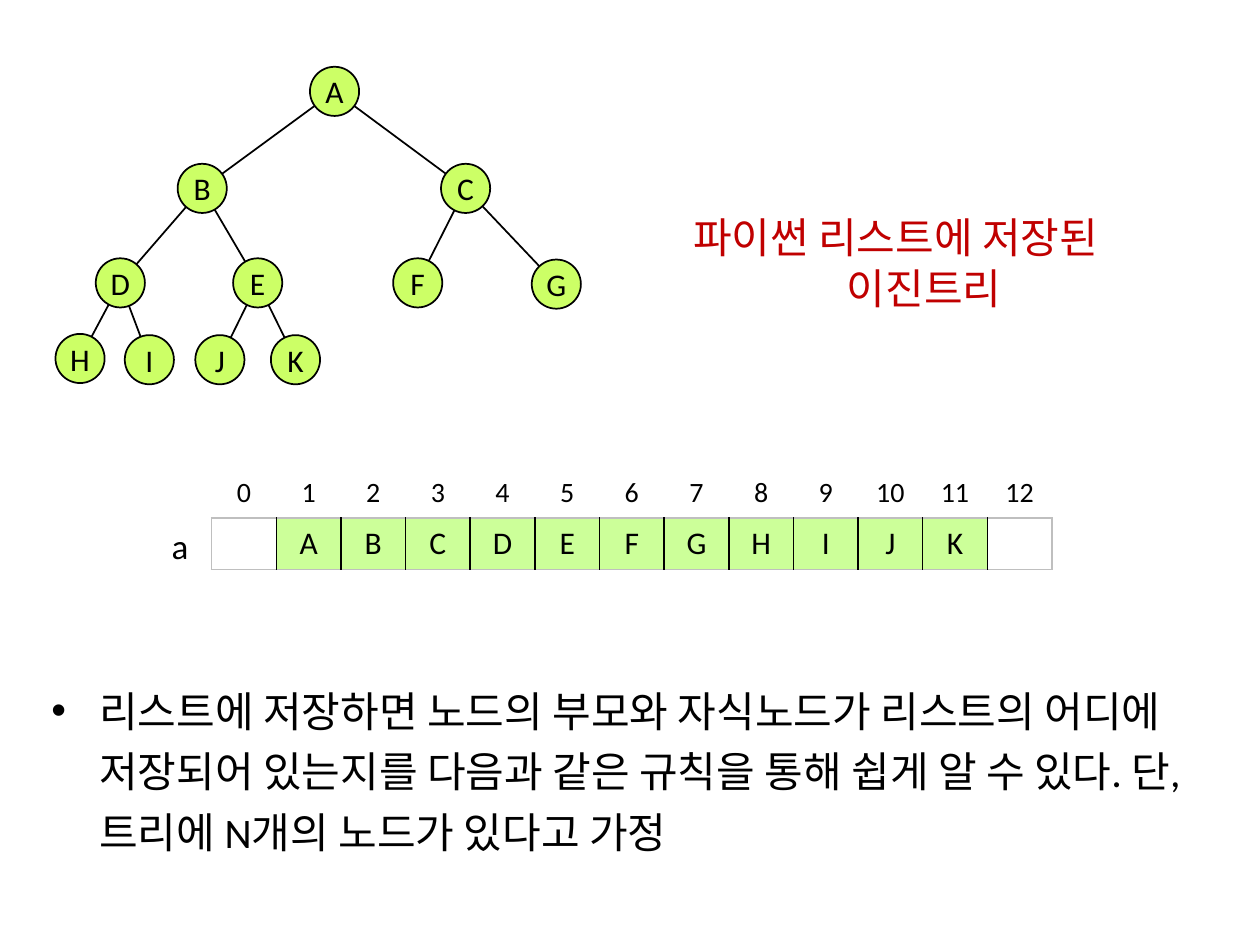
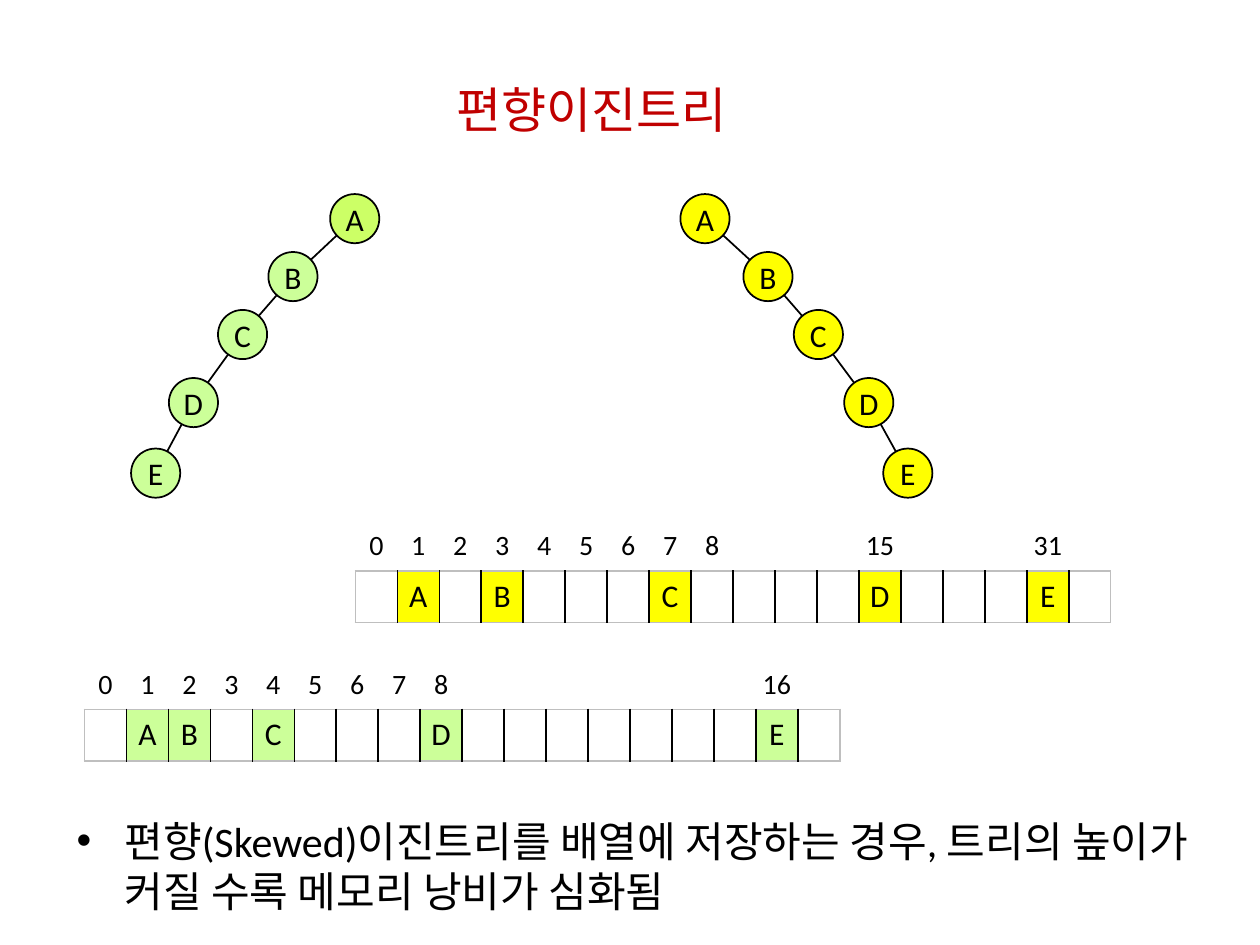
from lxml import etree
from pptx import Presentation
from pptx import util as u
from pptx.dml.color import RGBColor
from pptx.enum import shapes, text
from pptx.oxml import ns

COLORS = {
    "ink": "000000",
    "title": "C00000",
    "lime": "CCFF66",
    "mint": "CCFF99",
    "yellow": "FFFF00",
    "frame": "BFBFBF",
}
FONT = "Calibri"
NODE_SIZE = 0.39
ROW_HEIGHT = 0.41
PLAIN_TABLE = "{2D5ABB26-0587-4C30-8999-92F81FD0307C}"


def color(name):
    return RGBColor.from_string(COLORS[name])


class Deck:
    def __init__(self):
        self.presentation = Presentation()
        self.presentation.slide_width = u.Inches(10)
        self.presentation.slide_height = u.Inches(7.5)
        self.slide = None

    def place(self, shape, left, top, width, height):
        shape.left, shape.top = u.Inches(left), u.Inches(top)
        shape.width, shape.height = u.Inches(width), u.Inches(height)

    def styled_run(self, paragraph, words, size, ink="ink", align=text.PP_ALIGN.CENTER):
        paragraph.alignment = align
        run = paragraph.add_run()
        run.text = words
        run.font.name = FONT
        run.font.size = u.Pt(size)
        run.font.color.rgb = color(ink)

    def clear_margins(self, holder):
        holder.margin_left = holder.margin_right = 0
        holder.margin_top = holder.margin_bottom = 0

    def new_slide(self, lines, size, left, top, width, height):
        layout = self.presentation.slide_layouts[5]
        self.slide = self.presentation.slides.add_slide(layout)
        title = self.slide.shapes.title
        self.place(title, left, top, width, height)
        frame = title.text_frame
        frame.word_wrap = False
        frame.auto_size = text.MSO_AUTO_SIZE.SHAPE_TO_FIT_TEXT
        frame.vertical_anchor = text.MSO_ANCHOR.TOP
        for number, line in enumerate(lines):
            paragraph = frame.add_paragraph() if number else frame.paragraphs[0]
            align = text.PP_ALIGN.CENTER if number else text.PP_ALIGN.LEFT
            self.styled_run(paragraph, line, size, "title", align)

    def text_box(self, left, top, width, height):
        box = self.slide.shapes.add_textbox(*map(u.Inches, (left, top, width, height)))
        box.text_frame.word_wrap = True
        return box.text_frame.paragraphs[0]

    def label(self, words, size, left, top, width, height):
        self.styled_run(self.text_box(left, top, width, height), words, size)

    def bullet(self, words, left, top, width, height, spacing=1.0):
        paragraph = self.text_box(left, top, width, height)
        self.styled_run(paragraph, words, 24, align=text.PP_ALIGN.LEFT)
        paragraph.line_spacing = spacing
        properties = paragraph._p.get_or_add_pPr()
        properties.set("marL", str(u.Inches(0.38)))
        properties.set("indent", str(u.Inches(-0.38)))
        etree.SubElement(properties, ns.qn("a:buFont")).set("typeface", "Arial")
        etree.SubElement(properties, ns.qn("a:buChar")).set("char", "•")

    def edge(self, start, end):
        points = [u.Inches(value + NODE_SIZE / 2) for value in (*start, *end)]
        line = self.slide.shapes.add_connector(shapes.MSO_CONNECTOR.STRAIGHT, *points)
        line.line.color.rgb = color("ink")
        line.line.width = u.Pt(1)
        etree.SubElement(line._element.spPr, ns.qn("a:effectLst"))

    def node(self, letter, position, fill):
        shape = self.slide.shapes.add_shape(shapes.MSO_SHAPE.OVAL, 0, 0, 0, 0)
        self.place(shape, *position, NODE_SIZE, NODE_SIZE)
        shape.shadow.inherit = False
        shape.fill.solid()
        shape.fill.fore_color.rgb = color(fill)
        shape.line.color.rgb = color("ink")
        shape.line.width = u.Pt(1)
        frame = shape.text_frame
        frame.word_wrap = False
        frame.vertical_anchor = text.MSO_ANCHOR.MIDDLE
        self.clear_margins(frame)
        self.styled_run(frame.paragraphs[0], letter, 18)

    def tree(self, letters, positions, parent_of, fill, root_fill=None):
        for child in range(1, len(letters)):
            self.edge(positions[parent_of(child)], positions[child])
        for index, (letter, position) in enumerate(zip(letters, positions)):
            self.node(letter, position, fill if index else root_fill or fill)

    def border(self, cell, sides):
        properties = cell._tc.get_or_add_tcPr()
        for order, (side, name) in enumerate(sides.items()):
            line = etree.Element(ns.qn(f"a:ln{side}"), w=str(u.Pt(1)))
            fill = etree.SubElement(line, ns.qn("a:solidFill"))
            etree.SubElement(fill, ns.qn("a:srgbClr")).set("val", COLORS[name])
            properties.insert(order, line)

    def row(self, contents, count, left, top, width, size, fill=None):
        place = map(u.Inches, (left, top, width, ROW_HEIGHT))
        table = self.slide.shapes.add_table(1, count, *place).table
        table.first_row = table.horz_banding = False
        table._tbl.tblPr.find(ns.qn("a:tableStyleId")).text = PLAIN_TABLE
        for index in range(count):
            table.columns[index].width = u.Inches(width / count)
            cell = table.cell(0, index)
            self.clear_margins(cell)
            cell.vertical_anchor = text.MSO_ANCHOR.MIDDLE
            cell.fill.background()
            if index in contents:
                self.styled_run(cell.text_frame.paragraphs[0], contents[index], size)
                if fill:
                    cell.fill.solid()
                    cell.fill.fore_color.rgb = color(fill)
            if fill:
                self.border(cell, {
                    "L": "ink" if index else "frame",
                    "R": "ink" if index < count - 1 else "frame",
                    "T": "frame",
                    "B": "frame",
                })

    def array(self, letters, indexes, count, left, top, width, fill):
        self.row(indexes, count, left, top - 0.4, width, 16)
        self.row(letters, count, left, top, width, 18, fill)


def build_list_slide(deck):
    deck.new_slide(["파이썬 리스트에 저장된", "이진트리"], 24, 5.4, 1.63, 3.87, 0.91)
    letters = "ABCDEFGHIJK"
    positions = [
        (2.46, 0.53),
        (1.41, 1.3), (3.5, 1.3),
        (0.76, 2.05), (1.85, 2.05), (3.12, 2.05), (4.22, 2.06),
        (0.44, 2.65), (0.99, 2.66), (1.55, 2.66), (2.15, 2.66),
    ]
    deck.tree(letters, positions, lambda child: (child - 1) // 2, "lime")
    deck.label("a", 20, 1.15, 4.11, 0.56, 0.44)
    indexes = {index: str(index) for index in range(13)}
    deck.array(dict(enumerate(letters, 1)), indexes, 13, 1.68, 4.11, 6.67, "mint")
    deck.bullet(
        "리스트에 저장하면 노드의 부모와 자식노드가 리스트의 어디에 저장되어 있는지를 "
        "다음과 같은 규칙을 통해 쉽게 알 수 있다. 단, 트리에 N개의 노드가 있다고 가정",
        0.31, 5.31, 9.39, 1.52, 1.2)


def build_skewed_slide(deck):
    deck.new_slide(["편향이진트리"], 28, 3.52, 0.58, 2.56, 0.57)
    letters = "ABCDE"
    tops = [1.54, 2, 2.46, 3, 3.56]
    left_chain = list(zip([2.62, 2.13, 1.73, 1.34, 1.04], tops))
    right_chain = list(zip([5.4, 5.9, 6.3, 6.7, 7.01], tops))
    deck.tree(letters, left_chain, lambda child: child - 1, "mint", "lime")
    deck.tree(letters, right_chain, lambda child: child - 1, "yellow")

    indexes = {index: str(index) for index in range(9)}
    right_cells = dict(zip([1, 3, 7, 12, 16], letters))
    left_cells = {2 ** depth: letter for depth, letter in enumerate(letters)}
    deck.array(right_cells, {**indexes, 12: "15", 16: "31"}, 18, 2.82, 4.53, 6, "yellow")
    deck.array(left_cells, {**indexes, 16: "16"}, 18, 0.67, 5.63, 6, "mint")
    deck.bullet(
        "편향(Skewed)이진트리를 배열에 저장하는 경우, 트리의 높이가 커질 수록 "
        "메모리 낭비가 심화됨",
        0.51, 6.42, 9.02, 0.91)


def main():
    deck = Deck()
    build_list_slide(deck)
    build_skewed_slide(deck)
    deck.presentation.save("out.pptx")


if __name__ == "__main__":
    main()
